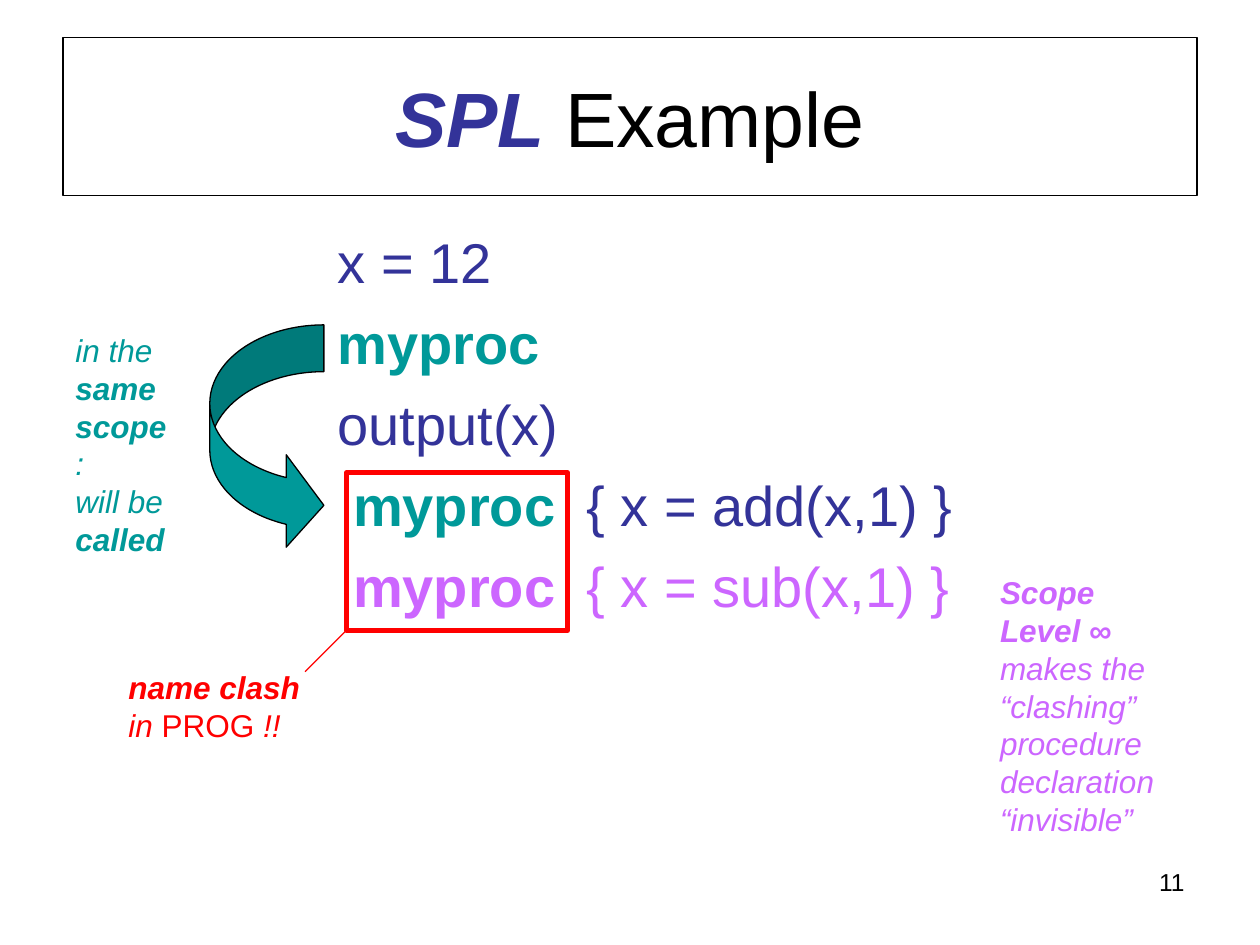
from lxml.etree import SubElement
from pptx import Presentation
from pptx.dml.color import RGBColor
from pptx.enum.shapes import MSO_CONNECTOR as Connector, MSO_SHAPE as Shape
from pptx.enum.text import MSO_ANCHOR as Anchor, MSO_AUTO_SIZE as AutoSize, PP_ALIGN as Align
from pptx.oxml.ns import qn
from pptx.util import Cm, Pt

COLORS = {"navy": "333399", "teal": "009999", "violet": "CC66FF",
          "red": "FF0000", "black": "000000"}

# Each paragraph is a list of spans: (text, color, style), style holding b and/or i
TITLE = [[("SPL ", "navy", "bi"), ("Example", "black", "")]]
CODE = [
    [("x = 12", "navy", "")],
    [("myproc", "teal", "b")],
    [("output(x)", "navy", "")],
    [(" myproc", "teal", "b"), ("  { x = add(x,1) }", "navy", "")],
    [(" myproc  ", "violet", "b"), ("{ x = sub(x,1) }", "violet", "")],
]
SAME_SCOPE = [
    [("in the", "teal", "i")],
    [("same", "teal", "bi")],
    [("scope", "teal", "bi"), (":", "teal", "i")],
    [("will be", "teal", "i")],
    [("called", "teal", "bi")],
]
NAME_CLASH = [
    [("name clash", "red", "bi")],
    [("in ", "red", "i"), ("PROG", "red", ""), (" !!", "red", "i")],
]
SCOPE_LEVEL = [[(text, "violet", "bi")] for text in ("Scope", "Level ∞")] + [
    [(text, "violet", "i")]
    for text in ("makes the", "“clashing”", "procedure", "declaration", "“invisible”")
]


def color(name):
    return RGBColor.from_string(COLORS[name])


def place(shape, left, top, width, height):
    shape.left, shape.top = Cm(left), Cm(top)
    shape.width, shape.height = Cm(width), Cm(height)


def outline(shape, name, width):
    shape.line.color.rgb = color(name)
    shape.line.width = Pt(width)


def write(frame, paragraphs, size, align=Align.LEFT):
    for index, spans in enumerate(paragraphs):
        para = frame.add_paragraph() if index else frame.paragraphs[0]
        para.alignment = align
        para.font.name, para.font.size = "Arial", Pt(size)
        for text, name, style in spans:
            span = para.add_run()
            span.text = text
            span.font.color.rgb = color(name)
            span.font.bold, span.font.italic = "b" in style, "i" in style


def add_note(page, box, paragraphs, size=18, align=Align.LEFT, wrap=False):
    note = page.shapes.add_textbox(*map(Cm, box))
    frame = note.text_frame
    frame.word_wrap = wrap
    frame.auto_size = AutoSize.NONE if wrap else AutoSize.SHAPE_TO_FIT_TEXT
    write(frame, paragraphs, size, align)


def add_shape(page, kind, box, line, width, fill=None):
    shape = page.shapes.add_shape(kind, *map(Cm, box))
    shape.shadow.inherit = False
    if fill:
        shape.fill.solid()
        shape.fill.fore_color.rgb = color(fill)
    else:
        shape.fill.background()
    outline(shape, line, width)
    return shape


def add_line(page, start, end, name, width):
    line = page.shapes.add_connector(Connector.STRAIGHT, *map(Cm, start + end))
    outline(line, name, width)
    SubElement(line._element.spPr, qn("a:effectLst"))


def fill_title(title):
    place(title, 1.27, 0.76, 22.86, 3.18)
    outline(title, "black", 0.74)
    title.text_frame.vertical_anchor = Anchor.MIDDLE
    title.text_frame.auto_size = AutoSize.NONE
    write(title.text_frame, TITLE, 44, Align.CENTER)


def fill_code(body):
    place(body, 6.55, 4.45, 13.54, 12.57)
    body.text_frame.auto_size = AutoSize.NONE
    write(body.text_frame, CODE, 32)
    for para in body.text_frame.paragraphs:
        para.space_before = Pt(8)
        # Hanging indent without a bullet
        properties = para._p.get_or_add_pPr()
        properties.set("marL", str(Cm(0.95)))
        properties.set("indent", str(-Cm(0.95)))
        bullet = properties.makeelement(qn("a:buNone"), {})
        properties.insert_element_before(bullet, "a:tabLst", "a:defRPr", "a:extLst")


def main():
    deck = Presentation()
    deck.slide_width, deck.slide_height = Cm(25.4), Cm(19.05)
    page = deck.slides.add_slide(deck.slide_layouts[1])

    # Title and program
    fill_title(page.shapes.title)
    fill_code(page.placeholders[1])

    # Call arrow from the use to the declaration
    arrow = add_shape(page, Shape.CURVED_RIGHT_ARROW, (4.23, 6.55, 2.3, 4.57),
                      "black", 0.74, "teal")
    for index, value in enumerate((0.41, 0.81, 0.33)):
        arrow.adjustments[index] = value
    add_note(page, (1.27, 6.55, 2.51, 4.06), SAME_SCOPE)

    # Name clash frame with its label
    add_shape(page, Shape.RECTANGLE, (6.99, 9.53, 4.45, 3.18), "red", 3)
    add_note(page, (2.34, 13.34, 4.14, 1.78), NAME_CLASH)
    add_note(page, (19.91, 11.43, 3.61, 5.59), SCOPE_LEVEL)
    add_line(page, (6.99, 12.7), (6.15, 13.54), "red", 0.74)

    # Page number
    add_note(page, (18.21, 17.35, 5.92, 1.32), [[("11", "black", "")]],
             14, Align.RIGHT, wrap=True)

    deck.save("out.pptx")


main()
